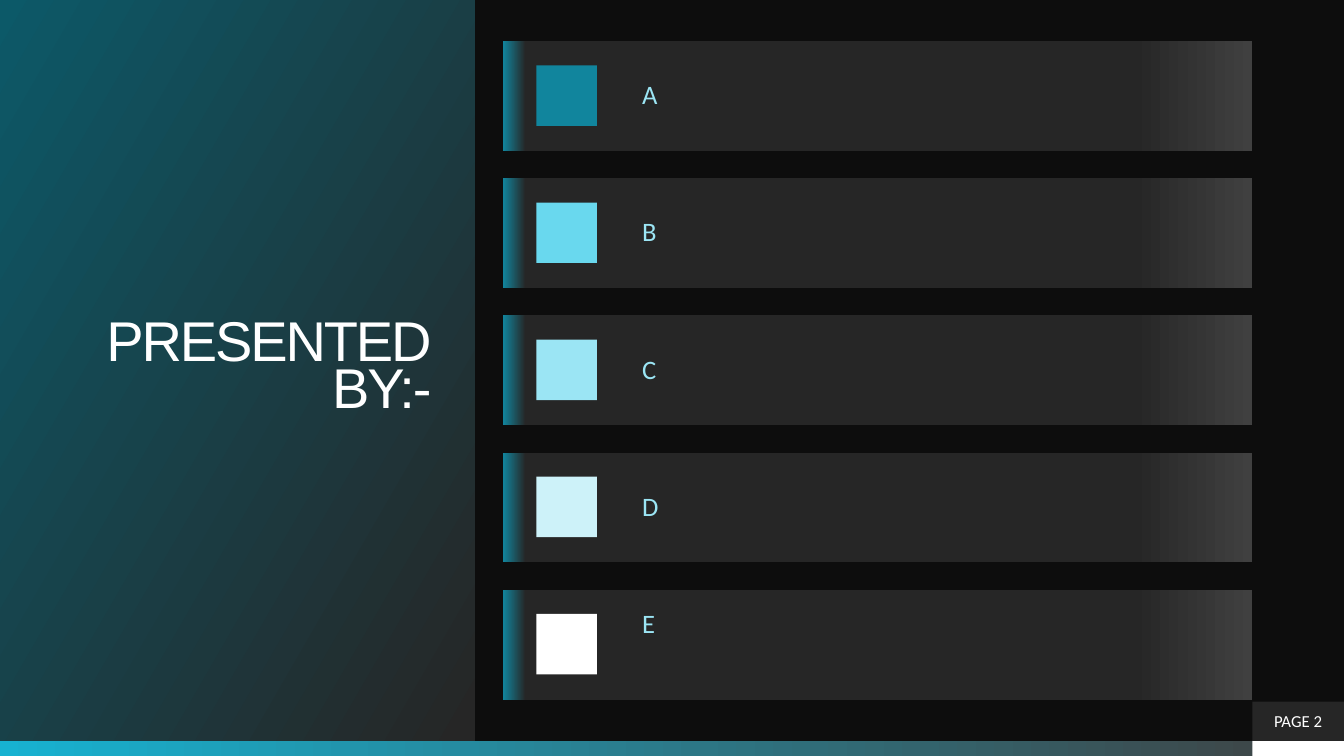
"""Build the "Presented by" slide with five presenter rows."""
from lxml.etree import SubElement
from pptx import Presentation
from pptx.dml.color import RGBColor
from pptx.enum.shapes import MSO_SHAPE
from pptx.enum.text import MSO_ANCHOR, PP_ALIGN
from pptx.oxml.ns import qn
from pptx.util import Inches, Pt

COLORS = {
    "black": "0D0D0D",
    "dark": "262626",
    "gray": "404040",
    "white": "FFFFFF",
    "bright": "17B2D1",
    "deep": "0C5968",
    "teal": "11859D",
    "sky": "69D8EE",
    "pale": "9BE5F4",
    "ice": "CDF2F9",
}


class SlideBuilder:
    def __init__(self, page):
        self.page = page

    def color(self, name):
        return RGBColor.from_string(COLORS[name])

    def background(self, name):
        fill = self.page.background.fill
        fill.solid()
        fill.fore_color.rgb = self.color(name)

    def block(self, left, top, width, height, fill=None):
        box = self.page.shapes.add_shape(
            MSO_SHAPE.RECTANGLE, Inches(left), Inches(top), Inches(width), Inches(height)
        )
        box.shadow.inherit = False
        box.line.fill.background()
        if fill:
            box.fill.solid()
            box.fill.fore_color.rgb = self.color(fill)
        return box

    def gradient_block(self, left, top, width, height, stops, angle=0):
        box = self.block(left, top, width, height)
        box.fill.gradient()
        box.fill.gradient_angle = angle
        stop_list = box._element.spPr.find(qn("a:gradFill")).find(qn("a:gsLst"))
        for stop in list(stop_list):
            stop_list.remove(stop)
        for percent, name in stops:
            stop = SubElement(stop_list, qn("a:gs"), pos=str(percent * 1000))
            SubElement(stop, qn("a:srgbClr"), val=COLORS[name])
        return box

    def label(self, left, top, width, height):
        return self.page.shapes.add_textbox(
            Inches(left), Inches(top), Inches(width), Inches(height)
        )

    def set_text(self, box, text, size, font, color, align, insets, line_spacing=1.0, tracking=0):
        frame = box.text_frame
        frame.word_wrap = True
        frame.vertical_anchor = MSO_ANCHOR.MIDDLE
        frame.margin_left, frame.margin_top, frame.margin_right, frame.margin_bottom = map(
            Inches, insets
        )
        frame.text = text
        para = frame.paragraphs[0]
        para.alignment = align
        para.line_spacing = line_spacing
        for span in para.runs:
            span.font.size = Pt(size)
            span.font.name = font
            span.font.color.rgb = self.color(color)
            if tracking:
                span.font._element.set("spc", str(tracking))


def main():
    deck = Presentation()
    deck.slide_width, deck.slide_height = Inches(13.33), Inches(7.5)
    builder = SlideBuilder(deck.slides.add_slide(deck.slide_layouts[6]))
    builder.background("black")

    builder.gradient_block(0, 7.35, 13.33, 0.15, [(0, "bright"), (100, "gray")])
    builder.block(12.42, 7.35, 0.91, 0.15, "white")

    title = builder.gradient_block(0, 0, 4.71, 7.35, [(0, "deep"), (99, "dark")], angle=-30)
    builder.set_text(title, "PRESENTED\vBY:-", 40, "Arial", "white", PP_ALIGN.RIGHT,
                     (0.43, 0, 0.43, 0), line_spacing=0.7, tracking=-150)

    row_stops = [(0, "teal"), (3, "dark"), (84, "dark"), (100, "gray")]
    rows = [("A", "teal", 0.12), ("B", "sky", 0.12), ("C", "pale", 0.12),
            ("D", "ice", 0.12), ("E", "white", 0.51)]
    for index, (name, marker, bottom_inset) in enumerate(rows):
        top = 0.41 + 1.36 * index
        builder.gradient_block(4.99, top, 7.43, 1.09, row_stops)
        builder.block(5.32, top + 0.24, 0.6, 0.6, marker)
        label = builder.label(6.25, top, 6.17, 1.09)
        builder.set_text(label, name, 19, "Calibri", "pale", PP_ALIGN.LEFT,
                         (0.12, 0.12, 0.12, bottom_inset), line_spacing=0.9)

    page_number = builder.block(12.42, 6.96, 0.91, 0.39, "dark")
    builder.set_text(page_number, "PAGE 2", 12, "Calibri", "white", PP_ALIGN.CENTER,
                     (0.1, 0.05, 0.1, 0.05))

    deck.save("out.pptx")


if __name__ == "__main__":
    main()
